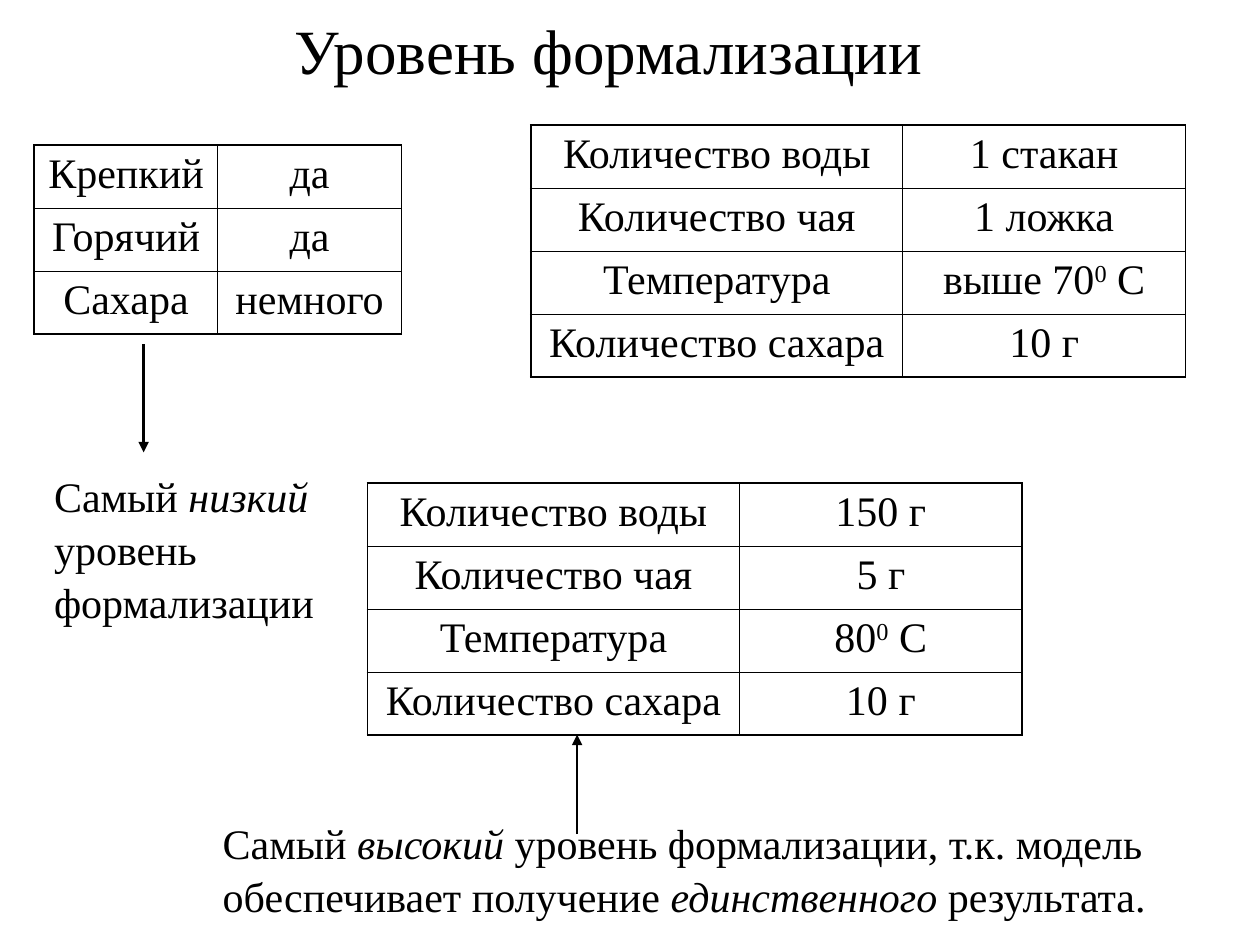
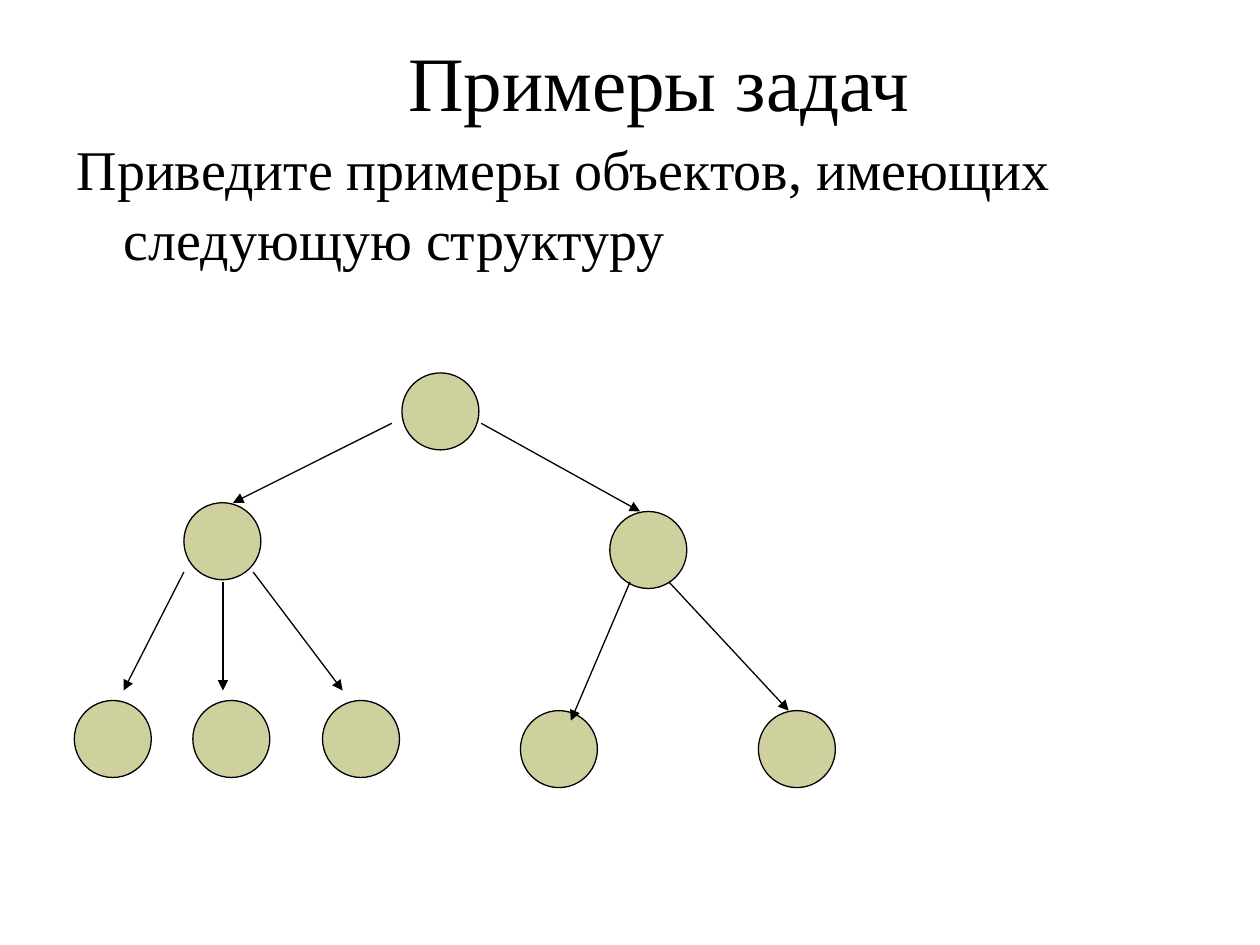
import pptx
import pptx.util
import pptx.dml.color
import pptx.enum.shapes
import pptx.enum.text
import pptx.oxml
import pptx.oxml.ns

Pt = pptx.util.Pt
BLACK = pptx.dml.color.RGBColor(0x00, 0x00, 0x00)
OLIVE = pptx.dml.color.RGBColor(0xCE, 0xD0, 0x9E)
FONT = "Times New Roman"
LEFT = pptx.enum.text.PP_ALIGN.LEFT
CENTER = pptx.enum.text.PP_ALIGN.CENTER
MIDDLE = pptx.enum.text.MSO_ANCHOR.MIDDLE
OVAL = pptx.enum.shapes.MSO_SHAPE.OVAL
STRAIGHT = pptx.enum.shapes.MSO_CONNECTOR.STRAIGHT
TITLE_ONLY = 5
ROW = 36
NODE = 44
THICK, THIN = 1.08, 0.45

MILD = [("Крепкий", "да"), ("Горячий", "да"), ("Сахара", "немного")]
ITEMS = ["Количество воды", "Количество чая", "Температура", "Количество сахара"]
ROUGH = ["1 стакан", "1 ложка", "выше 70|0| С", "10 г"]
EXACT = ["150 г", "5 г", "80|0| С", "10 г"]

NODES = [(229.7, 213.1), (105.1, 287.3), (348.5, 292.3),
         (42.5, 400.3), (110.2, 400.3), (184.3, 400.3),
         (297.4, 406.1), (433.4, 406.1)]
EDGES = [((223.9, 241.9), (133.2, 287.3)), ((275, 241.9), (365.8, 292.3)),
         ((105.1, 326.9), (70.6, 394.6)), ((127.4, 332.6), (127.4, 394.6)),
         ((144.7, 326.9), (195.8, 394.6)),
         ((360, 332.6), (326.2, 411.8)), ((382.3, 332.6), (450.7, 406.1))]


def make(tag, **attrs):
    """Return a new drawing element with the given attributes."""
    node = pptx.oxml.parse_xml(f"<a:{tag} {pptx.oxml.ns.nsdecls('a')}/>")
    for key, val in attrs.items():
        node.set(key, str(val))
    return node


def write(frame, text, size=24, align=LEFT, lead=1.05, hang=0, lift=False):
    """Write text whose parts between bars are raised or italic."""
    frame.word_wrap = True
    para = frame.paragraphs[0]
    para.alignment = align
    para.line_spacing = lead
    if hang:
        props = para._p.get_or_add_pPr()
        props.set("marL", str(Pt(hang)))
        props.set("indent", str(-Pt(hang)))
    for i, part in enumerate(text.split("|")):
        run = para.add_run()
        run.text = part
        run.font.name = FONT
        run.font.size = Pt(size)
        run.font.color.rgb = BLACK
        if i % 2 and lift:
            run._r.get_or_add_rPr().set("baseline", "30000")
        elif i % 2:
            run.font.italic = True


def place(shape, left, top, width, height):
    """Move and size a shape."""
    shape.left, shape.top = Pt(left), Pt(top)
    shape.width, shape.height = Pt(width), Pt(height)


def start(deck, text, size, left, height):
    """Add a slide with its title."""
    slide = deck.slides.add_slide(deck.slide_layouts[TITLE_ONLY])
    title = slide.shapes.title
    place(title, left, 0, 612, height)
    title.text_frame.vertical_anchor = MIDDLE
    write(title.text_frame, text, size=size, align=CENTER)
    return slide


def note(slide, text, left, top, width, height, **style):
    """Add a text box."""
    box = slide.shapes.add_textbox(Pt(left), Pt(top), Pt(width), Pt(height))
    write(box.text_frame, text, **style)


def edge(cell, side, width):
    """Draw one border of a cell."""
    line = make(f"ln{side}", w=Pt(width))
    fill = make("solidFill")
    fill.append(make("srgbClr", val=BLACK))
    line.append(fill)
    cell._tc.get_or_add_tcPr().append(line)


def grid(slide, rows, left, top, widths):
    """Add a table with a thick frame and thin inner lines."""
    last, end = len(rows) - 1, len(widths) - 1
    frame = slide.shapes.add_table(len(rows), len(widths), Pt(left), Pt(top),
                                   Pt(sum(widths)), Pt(ROW * len(rows)))
    table = frame.table
    table.first_row = table.horz_banding = False
    for col, width in zip(table.columns, widths):
        col.width = Pt(width)
    for r, row in enumerate(rows):
        table.rows[r].height = Pt(ROW)
        for c, text in enumerate(row):
            cell = table.cell(r, c)
            outer = {"L": c == 0, "R": c == end, "T": r == 0, "B": r == last}
            for side, thick in outer.items():
                edge(cell, side, THICK if thick else THIN)
            cell.fill.background()
            write(cell.text_frame, text, align=CENTER, lead=1.0, lift=True)


def arrow(shapes, tail, head, width):
    """Add an arrow from tail to head."""
    ends = [Pt(n) for n in (*tail, *head)]
    link = shapes.add_connector(STRAIGHT, *ends)
    link.line.color.rgb = BLACK
    link.line.width = Pt(width)
    link.line._get_or_add_ln().append(make("tailEnd", type="triangle"))
    link._element.spPr.append(make("effectLst"))


def disc(shapes, left, top):
    """Add one round node of the tree."""
    node = shapes.add_shape(OVAL, Pt(left), Pt(top), Pt(NODE), Pt(NODE))
    node.shadow.inherit = False
    node.fill.solid()
    node.fill.fore_color.rgb = OLIVE
    node.line.color.rgb = BLACK
    node.line.width = Pt(0.75)


def levels(deck):
    """Build the slide on levels of formal description."""
    slide = start(deck, "Уровень формализации", 36, 41.8, 54)
    wide = (212.6, 161.5)
    grid(slide, list(zip(ITEMS, EXACT)), 210, 276, wide)
    grid(slide, MILD, 19.6, 82.8, (104.9, 104.9))
    grid(slide, list(zip(ITEMS, ROUGH)), 303.3, 71.4, wide)
    note(slide, "Самый |высокий| уровень формализации, т.к. модель обеспечивает "
         "получение |единственного| результата.", 120.2, 462.2, 550, 64.8)
    arrow(slide.shapes, (329.8, 476.6), (329.8, 419.8), 1.5)
    arrow(slide.shapes, (82.1, 196.6), (82.1, 258.5), 1.5)
    note(slide, "Самый |низкий| уровень формализации", 23.8, 264.2, 184.3, 93.6)


def tasks(deck):
    """Build the slide with the tree."""
    slide = start(deck, "Примеры задач", 44, 70.6, 90)
    note(slide, "Приведите примеры объектов, имеющих следующую структуру",
         36.7, 71.3, 612, 85.7, size=32, hang=27)
    tree = slide.shapes.add_group_shape().shapes
    for spot in NODES:
        disc(tree, *spot)
    for tail, head in EDGES:
        arrow(tree, tail, head, 0.75)


def main():
    """Build and save the deck."""
    deck = pptx.Presentation()
    deck.slide_width, deck.slide_height = Pt(720), Pt(540)
    levels(deck)
    tasks(deck)
    deck.save("out.pptx")


if __name__ == "__main__":
    main()
